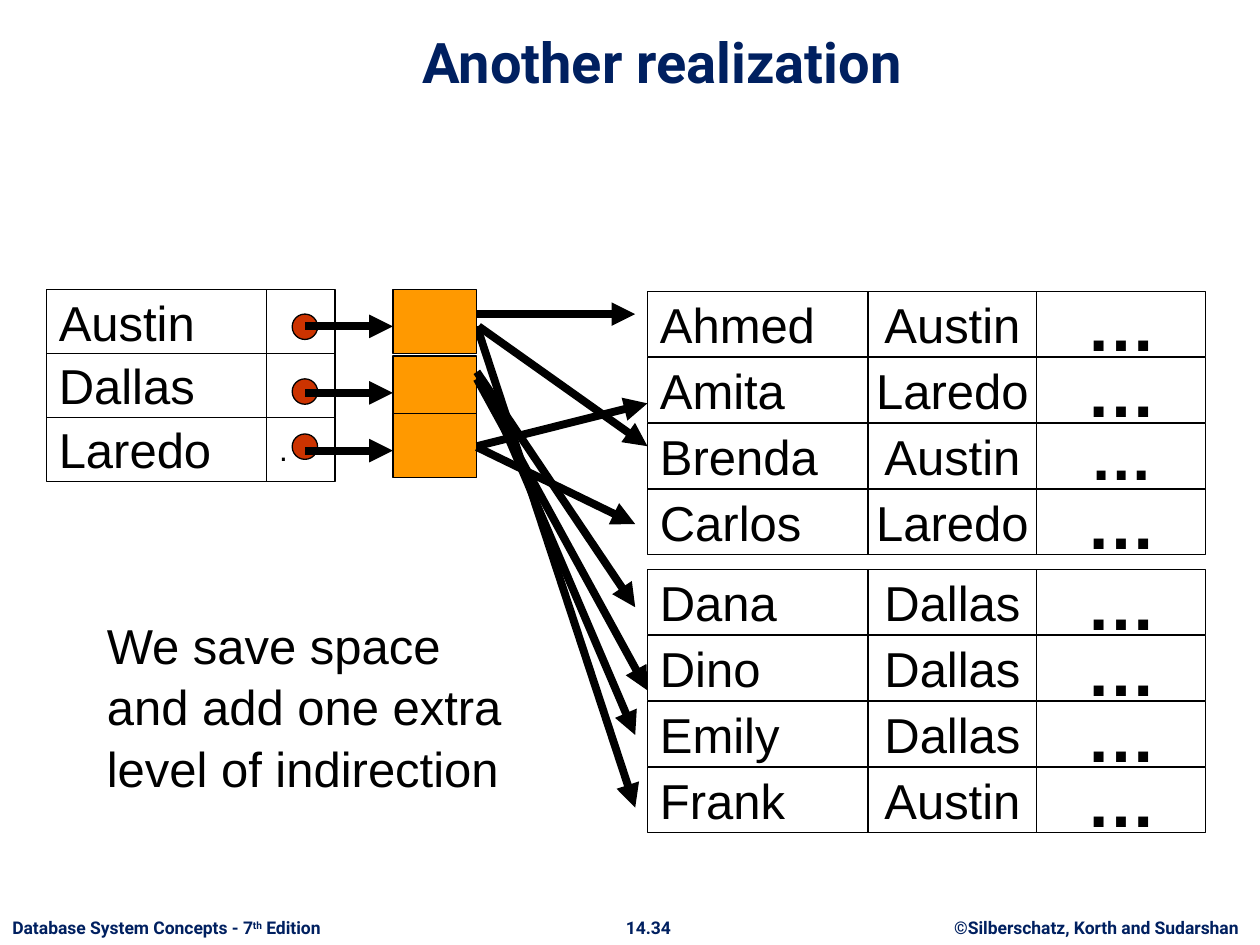
from dataclasses import dataclass

import pptx
import pptx.dml.color
import pptx.enum.shapes
import pptx.enum.text
import pptx.oxml.ns
import pptx.util
from lxml import etree

Pt = pptx.util.Pt
Align = pptx.enum.text.PP_ALIGN
Anchor = pptx.enum.text.MSO_ANCHOR
Shape = pptx.enum.shapes.MSO_SHAPE

BLACK, WHITE, NAVY = "000000", "FFFFFF", "002060"
RED, ORANGE = "CC3300", "FF9900"


@dataclass
class Span:
    text: str
    size: float = 28
    font: str = "Arial"
    color: str = BLACK
    bold: bool = False
    raised: bool = False


@dataclass
class Area:
    left: float
    top: float
    width: float
    height: float

    def lengths(self) -> list:
        return [Pt(v) for v in (self.left, self.top, self.width, self.height)]


@dataclass
class Arrow:
    x1: float
    y1: float
    x2: float
    y2: float


@dataclass
class Record:
    name: str
    city: str
    dots_size: float = 40


def rgb(color: str) -> pptx.dml.color.RGBColor:
    return pptx.dml.color.RGBColor.from_string(color)


def write(frame, lines: list[list[Span]], align=Align.LEFT,
          anchor=Anchor.TOP, wrap=False, spacing=None) -> None:
    frame.word_wrap = wrap
    frame.vertical_anchor = anchor
    for index, spans in enumerate(lines):
        para = frame.add_paragraph() if index else frame.paragraphs[0]
        para.alignment = align
        if spacing:
            para.line_spacing = spacing
        for item in spans:
            span = para.add_run()
            span.text = item.text
            span.font.size = Pt(item.size)
            span.font.name = item.font
            span.font.bold = item.bold
            span.font.color.rgb = rgb(item.color)
            if item.raised:
                span._r.get_or_add_rPr().set("baseline", "30000")


def add_text(page, area: Area, lines: list[list[Span]], **layout) -> None:
    write(page.shapes.add_textbox(*area.lengths()).text_frame, lines, **layout)


def add_box(page, area: Area, fill=WHITE, span: Span | None = None,
            align=Align.LEFT, kind=Shape.RECTANGLE) -> None:
    box = page.shapes.add_shape(kind, *area.lengths())
    box.shadow.inherit = False
    box.fill.solid()
    box.fill.fore_color.rgb = rgb(fill)
    box.line.color.rgb = rgb(BLACK)
    box.line.width = Pt(0.75)
    if span:
        write(box.text_frame, [[span]], align, Anchor.MIDDLE)


def add_arrow(page, arrow: Arrow) -> None:
    line = page.shapes.add_connector(
        pptx.enum.shapes.MSO_CONNECTOR.STRAIGHT,
        Pt(arrow.x1), Pt(arrow.y1), Pt(arrow.x2), Pt(arrow.y2))
    line.line.color.rgb = rgb(BLACK)
    line.line.width = Pt(4.5)
    qn = pptx.oxml.ns.qn
    etree.SubElement(line.line._get_or_add_ln(), qn("a:tailEnd"), type="triangle")
    etree.SubElement(line._element.spPr, qn("a:effectLst"))


def add_records(page, top: float, records: list[Record]) -> None:
    for row, record in enumerate(records):
        y = top + row * 37.67
        add_box(page, Area(370, y, 126, 37.25), span=Span(record.name))
        add_box(page, Area(496, y, 96.5, 37.25), span=Span(record.city),
                align=Align.CENTER)
        add_box(page, Area(592.5, y, 96.5, 37.25), align=Align.CENTER,
                span=Span("…", record.dots_size, bold=True))


def add_footer(page) -> None:
    style = dict(size=10, font="Roboto", color=NAVY, bold=True)
    add_text(page, Area(533, 520.5, 187, 19.4),
             [[Span("©Silberschatz, Korth and Sudarshan", **style)]],
             align=Align.CENTER)
    add_text(page, Area(350, 520.5, 41, 19.4), [[Span("14.34", **style)]],
             align=Align.CENTER)
    add_text(page, Area(0, 520.5, 202.5, 19.4),
             [[Span("Database System Concepts - 7", **style),
               Span("th", raised=True, **style),
               Span(" Edition", **style)]])


def main() -> None:
    deck = pptx.Presentation()
    deck.slide_width, deck.slide_height = Pt(720), Pt(540)
    page = deck.slides.add_slide(deck.slide_layouts[6])

    # Footer and title
    add_footer(page)
    add_text(page, Area(60.5, 9.5, 636, 48),
             [[Span("Another realization", 32, "Roboto", NAVY, True)]],
             align=Align.CENTER, anchor=Anchor.BOTTOM, wrap=True)

    # Data records in two blocks
    add_records(page, 325.5, [Record("Dana", "Dallas"), Record("Dino", "Dallas"),
                              Record("Emily", "Dallas"), Record("Frank", "Austin")])
    add_records(page, 166.5, [Record("Ahmed", "Austin"), Record("Amita", "Laredo"),
                              Record("Brenda", "Austin", 36),
                              Record("Carlos", "Laredo")])

    # City index with pointer cells
    for row, city in enumerate(("Austin", "Dallas", "Laredo")):
        y = 165.5 + row * 36.5
        add_box(page, Area(26.5, y, 126, 36.5), span=Span(city))
        add_box(page, Area(152.5, y, 39, 36.5),
                span=Span(".", 18) if city == "Laredo" else None)
    for y in (179.5, 216.5, 248):
        add_box(page, Area(167, y, 14.5, 14.5), RED, kind=Shape.OVAL)

    # Austin bucket to its records
    for arrow in (Arrow(272.5, 179.5, 363, 179.5), Arrow(273.5, 186.5, 370, 255),
                  Arrow(272.5, 186.5, 363, 461.5)):
        add_arrow(page, arrow)

    # Buckets, each reached from its pointer
    for top, pointer in ((165.5, 186.5), (203.5, 224.5), (236.5, 257.5)):
        add_box(page, Area(224.5, top, 48, 36.5), ORANGE)
        add_arrow(page, Arrow(174.5, pointer, 224.5, pointer))

    # Remark
    remark = ("We save space", "and add one extra", "level of indirection")
    add_text(page, Area(54, 347, 240.5, 108),
             [[Span(text)] for text in remark], spacing=1.04)

    # Laredo and Dallas buckets to their records
    for arrow in (Arrow(272.5, 255, 370, 230.5), Arrow(272.5, 212.5, 363, 347),
                  Arrow(272.5, 216.5, 370, 394.5), Arrow(279.5, 224.5, 363, 420),
                  Arrow(272.5, 255.5, 363, 299.5)):
        add_arrow(page, arrow)

    deck.save("out.pptx")


if __name__ == "__main__":
    main()
